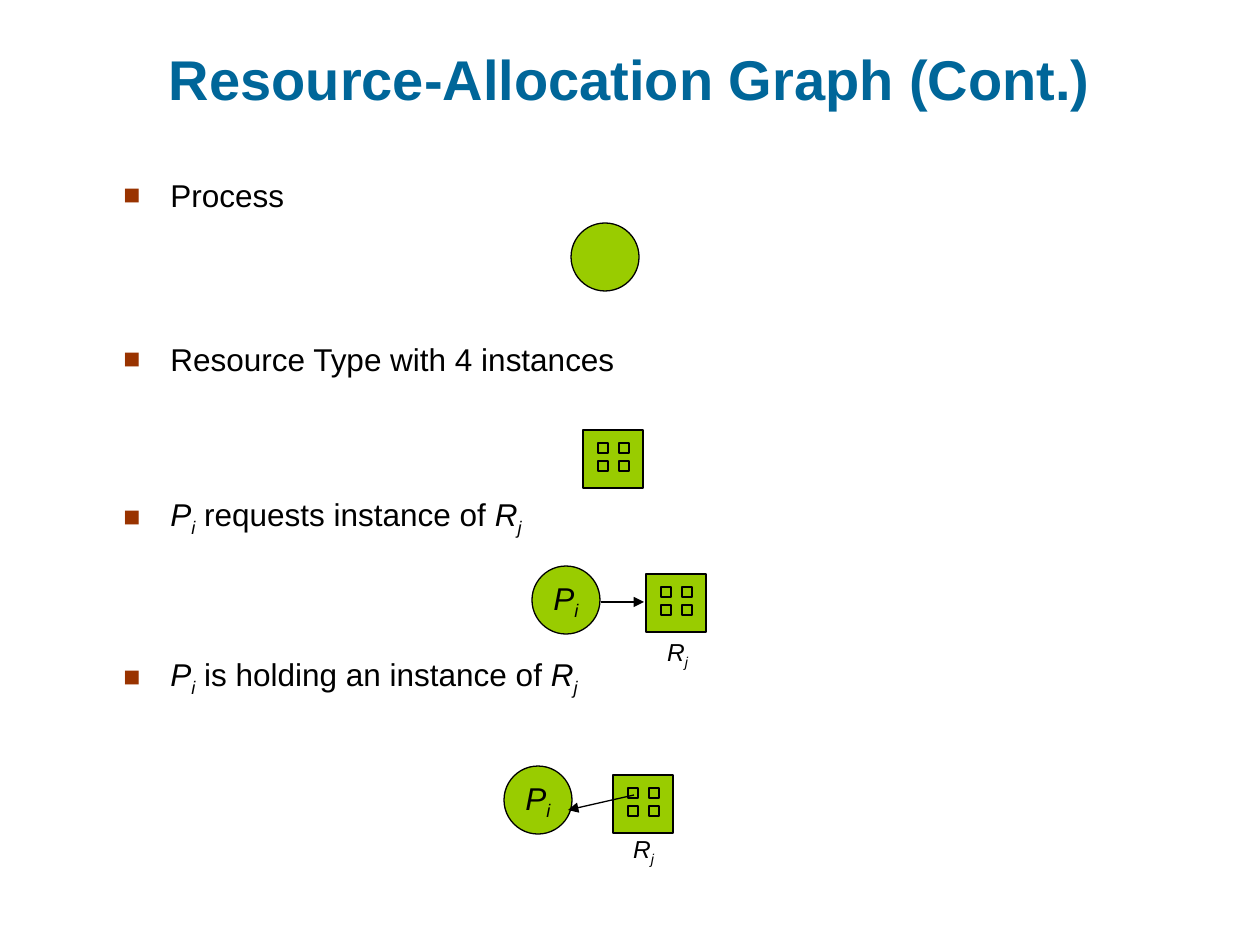
from pptx import Presentation, util as u
from pptx.dml.color import RGBColor
from pptx.enum import shapes, text
from pptx.oxml import parse_xml
from pptx.oxml.ns import nsdecls

PX = u.Inches(1) / 126
BLACK = RGBColor(0x00, 0x00, 0x00)
GREEN = RGBColor(0x99, 0xCC, 0x00)
BLUE = RGBColor(0x00, 0x66, 0x99)
RUST = RGBColor(0x99, 0x33, 0x00)


def write(par, words, size):
    """Single letters are italic symbols; i and j are subscripts."""
    for word in words:
        run = par.add_run()
        run.text = word
        run.font.name = "Arial"
        run.font.size = u.Pt(size)
        run.font.color.rgb = BLACK
        run.font.italic = len(word) == 1
        if word in ("i", "j"):
            run.font._element.set("baseline", "-25000")


def draw(home, kind, *place):
    shape = home.add_shape(kind, *[int(n * PX) for n in place])
    shape.shadow.inherit = False
    shape.fill.solid()
    shape.fill.fore_color.rgb = GREEN
    shape.line.color.rgb = BLACK
    shape.line.width = u.Pt(0.75)
    return shape


deck = Presentation()
deck.slide_width, deck.slide_height = u.Inches(10), u.Inches(7.5)
slide = deck.slides.add_slide(deck.slide_layouts[5])

# Title
title = slide.shapes.title
title.left, title.top, title.width, title.height = [
    int(n * PX) for n in (63, 38, 1134, 80)]
frame = title.text_frame
frame.text = "Resource-Allocation Graph (Cont.)"
frame.vertical_anchor = text.MSO_ANCHOR.BOTTOM
par = frame.paragraphs[0]
par.alignment = text.PP_ALIGN.CENTER
font = par.runs[0].font
font.name, font.size, font.bold = "Arial", u.Pt(32), True
font.color.rgb = BLUE

# Bulleted legend: space before in points, then the words
items = [
    (0, ["Process"]),
    (72, ["Resource Type with 4 instances"]),
    (67, ["P", "i", " requests instance of ", "R", "j"]),
    (67, ["P", "i", " is holding an instance of ", "R", "j"]),
]
body = slide.shapes.add_textbox(*[int(n * PX) for n in (111, 170, 1134, 625)])
frame = body.text_frame
frame.word_wrap = True
for n, (gap, words) in enumerate(items):
    par = frame.add_paragraph() if n else frame.paragraphs[0]
    props = par._p.get_or_add_pPr()
    props.set("marL", str(int(47 * PX)))
    props.set("indent", str(int(-47 * PX)))
    for tag in (f'<a:buClr {nsdecls("a")}><a:srgbClr val="{RUST}"/></a:buClr>',
                f'<a:buSzPct {nsdecls("a")} val="90000"/>',
                f'<a:buFont {nsdecls("a")} typeface="Arial"/>',
                f'<a:buChar {nsdecls("a")} char="■"/>'):
        props.append(parse_xml(tag))
    if gap:
        par.space_before = u.Pt(gap)
    write(par, words, 18)

# Process circles
for x, y, words in [(571, 223, []), (532, 566, ["P", "i"]),
                    (504, 766, ["P", "i"])]:
    ball = draw(slide.shapes, shapes.MSO_SHAPE.OVAL, x, y, 68, 68)
    if words:
        ball.text_frame.word_wrap = False
        write(ball.text_frame.paragraphs[0], words, 18)

# Resource boxes, each with a two by two grid of instances
for x, y in [(583, 430), (646, 574), (613, 775)]:
    group = slide.shapes.add_group_shape().shapes
    draw(group, shapes.MSO_SHAPE.RECTANGLE, x, y, 60, 58)
    for row in range(2):
        for col in range(2):
            draw(group, shapes.MSO_SHAPE.RECTANGLE,
                 x + 15 + 21 * col, y + 13 + 18 * row, 10, 10)

# Resource labels, without side margins so that each stays on one line
for x, y in [(655, 630), (621, 827)]:
    label = slide.shapes.add_textbox(*[int(n * PX) for n in (x, y, 45, 47)])
    frame = label.text_frame
    frame.word_wrap = True
    frame.margin_left = frame.margin_right = 0
    frame.vertical_anchor = text.MSO_ANCHOR.MIDDLE
    frame.paragraphs[0].alignment = text.PP_ALIGN.CENTER
    write(frame.paragraphs[0], ["R", "j"], 14)

# Request and assignment arrows
for ends in [(601, 602, 644, 602), (634, 795, 568, 810)]:
    edge = slide.shapes.add_connector(
        shapes.MSO_CONNECTOR.STRAIGHT, *[int(n * PX) for n in ends])
    edge.line.color.rgb = BLACK
    edge.line.width = u.Pt(0.75)
    edge.line._get_or_add_ln().append(
        parse_xml(f'<a:tailEnd {nsdecls("a")} type="triangle"/>'))
    edge._element.spPr.append(parse_xml(f'<a:effectLst {nsdecls("a")}/>'))

deck.save("out.pptx")
